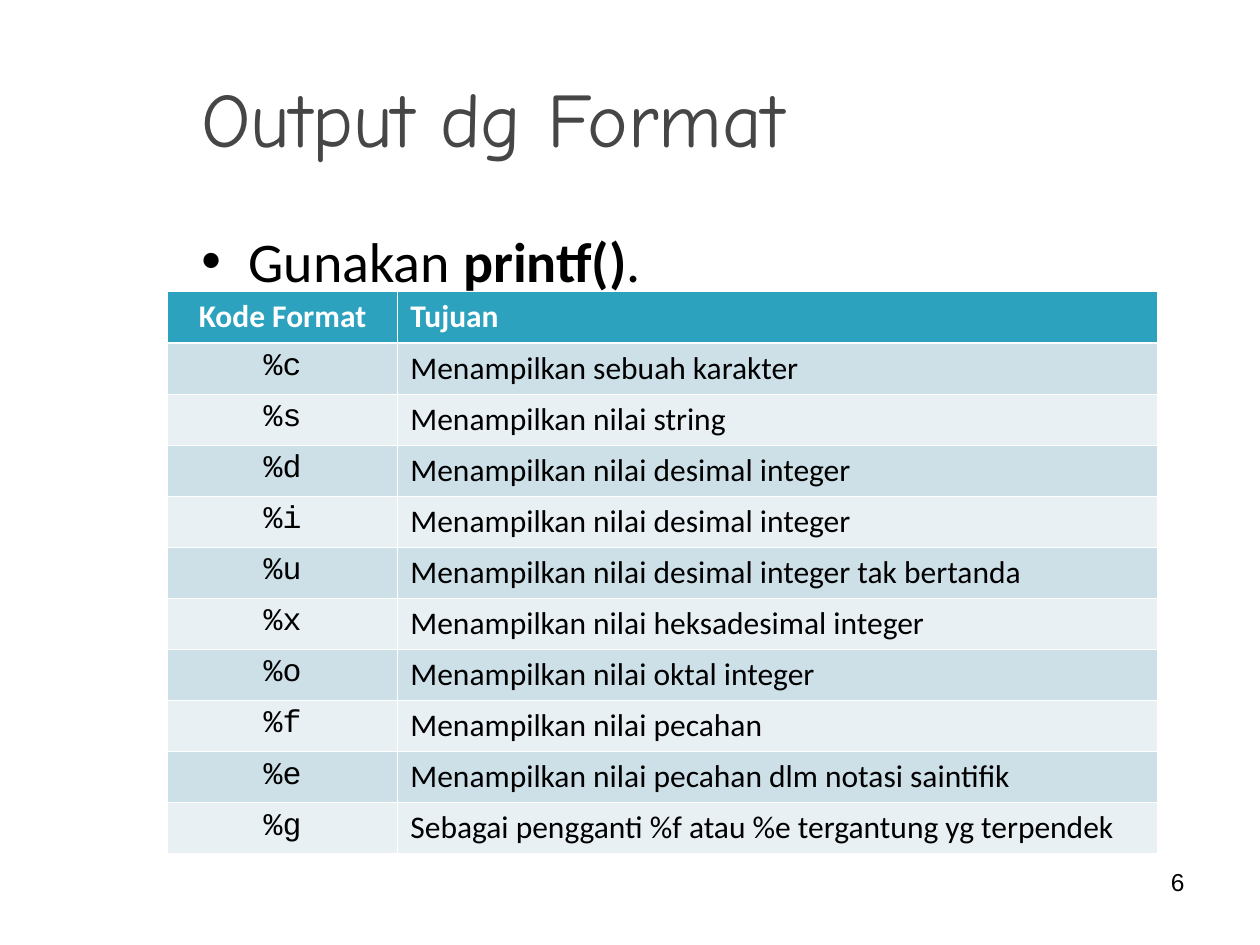
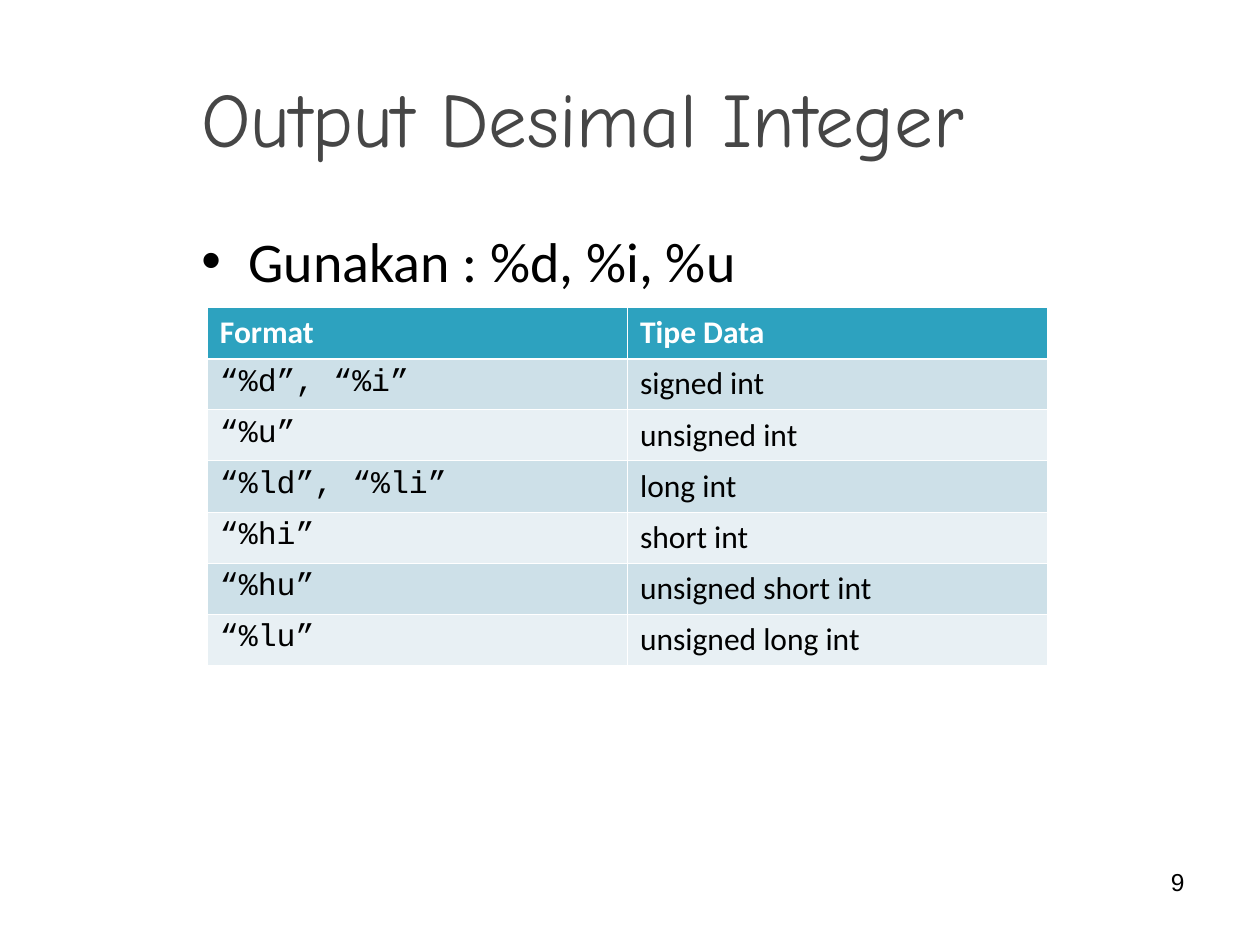
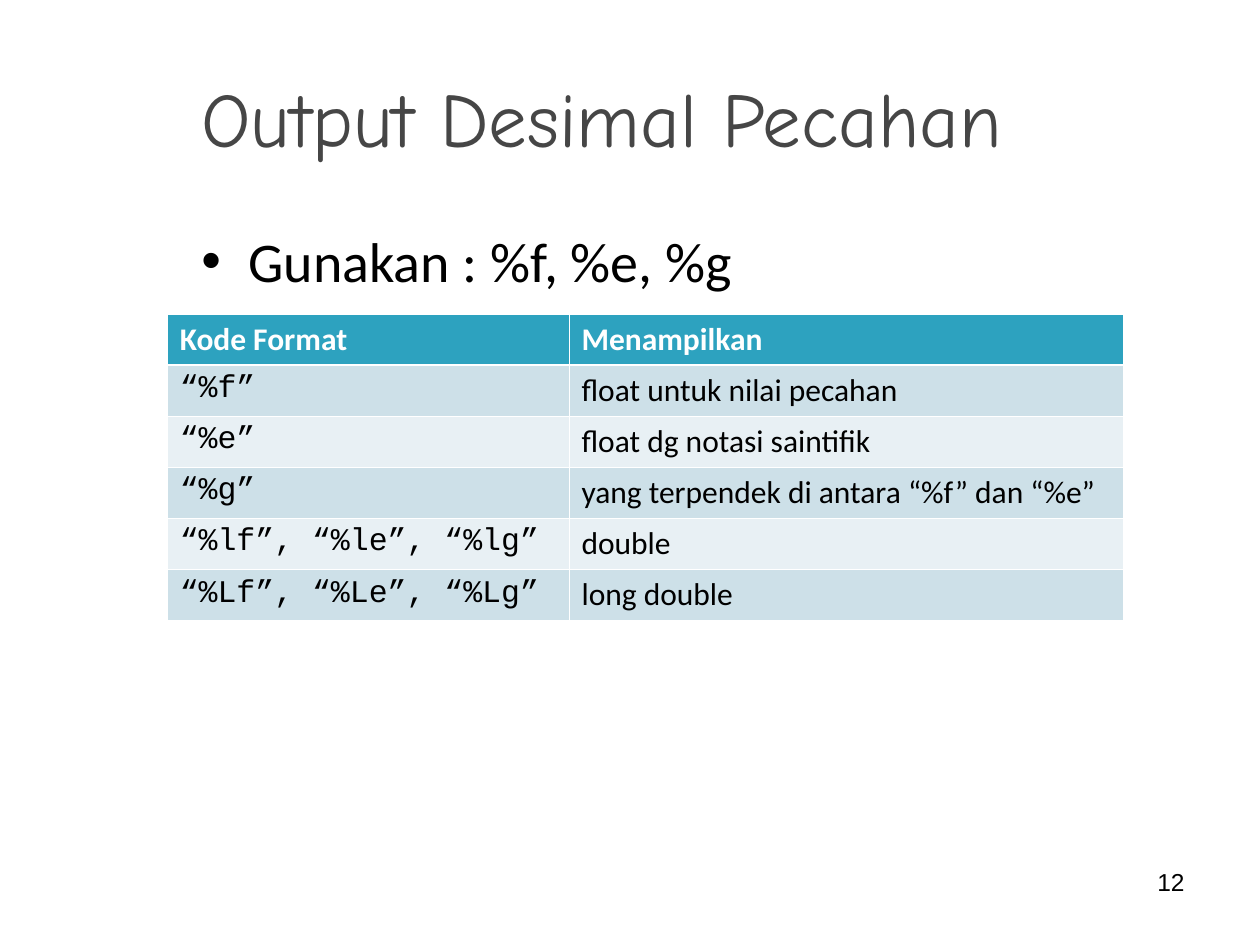
import pptx
import pptx.dml.color
import pptx.enum.text
import pptx.oxml.ns
import pptx.util
from lxml import etree

Cm = pptx.util.Cm
Pt = pptx.util.Pt
RGBColor = pptx.dml.color.RGBColor
ALIGN = pptx.enum.text.PP_ALIGN
ANCHOR = pptx.enum.text.MSO_ANCHOR

GREY = RGBColor(0x46, 0x46, 0x46)
BLACK = RGBColor(0, 0, 0)
WHITE = RGBColor(255, 255, 255)
TEAL = RGBColor(0x2D, 0xA2, 0xBF)
BANDS = (RGBColor(0xE8, 0xF0, 0xF4), RGBColor(0xCD, 0xE0, 0xE8))

TITLE = {"name": "Comic Neue", "size": Pt(44), "color": GREY}
BODY = {"name": "Calibri", "size": Pt(32), "color": BLACK}
STRONG = {**BODY, "bold": True}
NUMBER = {"name": "Arial", "size": Pt(14), "color": BLACK}
CELL = {**BODY, "size": Pt(18), "bold": False}
CODE = {**CELL, "name": "Courier New"}
HEAD = {**CELL, "color": WHITE, "bold": True}

ROW = 1.03
THIN, THICK = 0.45, 1.47


def style(font, form):
    for key, value in form.items():
        if key == "color":
            font.color.rgb = value
        else:
            setattr(font, key, value)


def write(para, runs):
    for text, form in runs:
        run = para.add_run()
        run.text = text
        style(run.font, form)


def add_text(slide, place, runs, align=ALIGN.LEFT, anchor=ANCHOR.TOP):
    box = slide.shapes.add_textbox(*map(Cm, place))
    frame = box.text_frame
    frame.word_wrap = True
    frame.vertical_anchor = anchor
    para = frame.paragraphs[0]
    para.alignment = align
    write(para, runs)
    return para


def add_node(owner, tag, **attrs):
    return etree.SubElement(owner, pptx.oxml.ns.qn(tag), attrs)


def add_bullet(para):
    props = para._p.get_or_add_pPr()
    props.set("marL", str(Cm(0.95)))
    props.set("indent", str(-Cm(0.95)))
    color = add_node(props, "a:buClr")
    add_node(color, "a:srgbClr", val=str(BLACK))
    add_node(props, "a:buFont", typeface="Arial")
    add_node(props, "a:buChar", char="•")


def add_border(cell, row):
    props = cell._tc.get_or_add_tcPr()
    widths = {
        "L": THIN,
        "R": THIN,
        "T": THICK if row == 1 else THIN,
        "B": THICK if row == 0 else THIN,
    }
    for side, width in widths.items():
        line = add_node(props, f"a:ln{side}", w=str(Pt(width)))
        fill = add_node(line, "a:solidFill")
        add_node(fill, "a:srgbClr", val=str(WHITE))


def add_grid(slide, left, top, widths, rows, align=ALIGN.LEFT):
    frame = slide.shapes.add_table(
        len(rows), len(widths), Cm(left), Cm(top),
        Cm(sum(widths)), Cm(ROW * len(rows)))
    table = frame.table
    for col, width in zip(table.columns, widths):
        col.width = Cm(width)
    for r, texts in enumerate(rows):
        table.rows[r].height = Cm(ROW)
        for c, text in enumerate(texts):
            cell = table.cell(r, c)
            add_border(cell, r)
            cell.fill.solid()
            cell.fill.fore_color.rgb = BANDS[r % 2] if r else TEAL
            para = cell.text_frame.paragraphs[0]
            para.alignment = ALIGN.LEFT if c else align
            form = HEAD if r == 0 else CELL if c else CODE
            write(para, [(text, form)])


def add_page(deck, title, runs, number):
    slide = deck.slides.add_slide(deck.slide_layouts[6])
    add_text(slide, (3.81, 0.76, 21.34, 3.18), [(title, TITLE)],
             anchor=ANCHOR.MIDDLE)
    para = add_text(slide, (3.81, 4.45, 21.34, 12.57), runs)
    add_bullet(para)
    add_text(slide, (18.21, 17.35, 5.92, 1.32), [(number, NUMBER)],
             align=ALIGN.RIGHT)
    return slide


def main():
    deck = pptx.Presentation()
    deck.slide_width, deck.slide_height = Cm(25.4), Cm(19.05)

    runs = [("Gunakan ", BODY), ("printf()", STRONG), (".", BODY)]
    slide = add_page(deck, "Output dg Format", runs, "6")
    add_grid(slide, 3.37, 5.88, (4.65, 15.32), [
        ("Kode Format", "Tujuan"),
        ("%c", "Menampilkan sebuah karakter"),
        ("%s", "Menampilkan nilai string"),
        ("%d", "Menampilkan nilai desimal integer"),
        ("%i", "Menampilkan nilai desimal integer"),
        ("%u", "Menampilkan nilai desimal integer tak bertanda"),
        ("%x", "Menampilkan nilai heksadesimal integer"),
        ("%o", "Menampilkan nilai oktal integer"),
        ("%f", "Menampilkan nilai pecahan"),
        ("%e", "Menampilkan nilai pecahan dlm notasi saintifik"),
        ("%g", "Sebagai pengganti %f atau %e tergantung yg terpendek"),
    ], ALIGN.CENTER)

    runs = [("Gunakan : %d, %i, %u", BODY)]
    slide = add_page(deck, "Output Desimal Integer", runs, "9")
    add_grid(slide, 4.18, 6.2, (8.47, 8.47), [
        ("Format", "Tipe Data"),
        ("“%d”, “%i”", "signed int"),
        ("“%u”", "unsigned int"),
        ("“%ld”, “%li”", "long int"),
        ("“%hi”", "short int"),
        ("“%hu”", "unsigned short int"),
        ("“%lu”", "unsigned long int"),
    ])

    runs = [("Gunakan : %f, %e, %g", BODY)]
    slide = add_page(deck, "Output Desimal Pecahan", runs, "12")
    add_grid(slide, 3.37, 6.33, (8.1, 11.18), [
        ("Kode Format", "Menampilkan"),
        ("“%f”", "float untuk nilai pecahan"),
        ("“%e”", "float dg notasi saintifik"),
        ("“%g”", "yang terpendek di antara “%f” dan “%e”"),
        ("“%lf”, “%le”, “%lg”", "double"),
        ("“%Lf”, “%Le”, “%Lg”", "long double"),
    ])

    deck.save("out.pptx")


if __name__ == "__main__":
    main()
